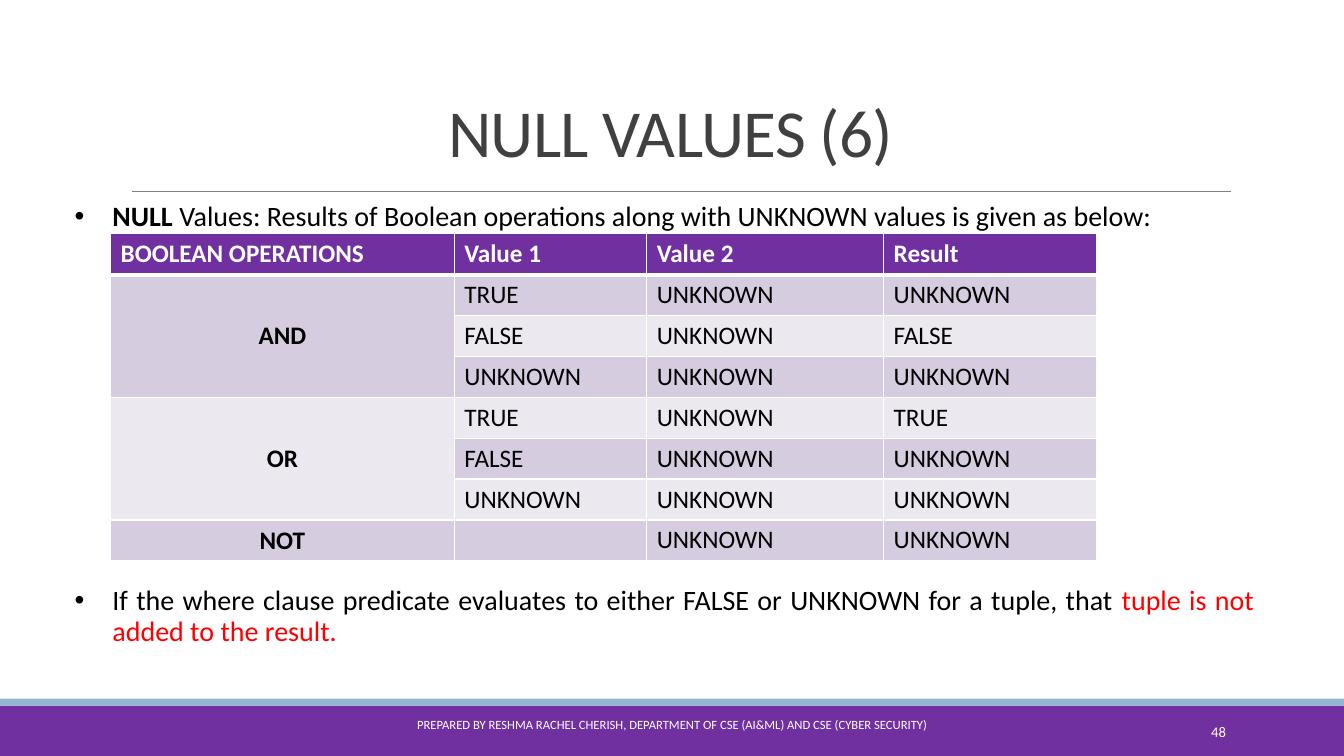
from dataclasses import dataclass

from lxml.etree import SubElement
from pptx import Presentation
from pptx.dml.color import RGBColor
from pptx.enum.shapes import MSO_CONNECTOR, MSO_SHAPE
from pptx.enum.text import MSO_ANCHOR, PP_ALIGN
from pptx.oxml.ns import qn
from pptx.util import Pt


@dataclass(frozen=True)
class Theme:
    font: str = "Calibri"
    purple: str = "7030A0"
    blue: str = "94B6D2"
    rule: str = "808080"
    title: str = "404040"
    ink: str = "000000"
    accent: str = "FF0000"
    white: str = "FFFFFF"
    bands: tuple = ("EBE8F0", "D5CDDF")
    title_size: float = 48
    body_size: float = 20
    table_size: float = 18
    number_size: float = 10.5
    footer_size: float = 9


THEME = Theme()
SLIDE_WIDTH, SLIDE_HEIGHT = 960, 540

COLUMN_WIDTHS = (245.5, 137.5, 169.2, 152)
ROW_HEIGHT = 29.2
HEADINGS = ("BOOLEAN OPERATIONS", "Value 1", "Value 2", "Result")
OPERATIONS = {
    "AND": (
        ("TRUE", "UNKNOWN", "UNKNOWN"),
        ("FALSE", "UNKNOWN", "FALSE"),
        ("UNKNOWN", "UNKNOWN", "UNKNOWN"),
    ),
    "OR": (
        ("TRUE", "UNKNOWN", "TRUE"),
        ("FALSE", "UNKNOWN", "UNKNOWN"),
        ("UNKNOWN", "UNKNOWN", "UNKNOWN"),
    ),
    "NOT": (("", "UNKNOWN", "UNKNOWN"),),
}


def rgb(code):
    return RGBColor.from_string(code)


def write(paragraph, text, size, color=THEME.ink, bold=False, align=None, tracking=0):
    """Append one formatted run to a paragraph."""
    if align is not None:
        paragraph.alignment = align
    run = paragraph.add_run()
    run.text = text
    run.font.name = THEME.font
    run.font.size = Pt(size)
    run.font.bold = bold
    run.font.color.rgb = rgb(color)
    if tracking:
        run.font._element.set("spc", str(round(tracking * 100)))


def add_frame(slide, left, top, width, height, anchor=MSO_ANCHOR.TOP):
    frame = slide.shapes.add_textbox(Pt(left), Pt(top), Pt(width), Pt(height)).text_frame
    frame.word_wrap = True
    frame.vertical_anchor = anchor
    return frame


def add_band(slide, top, height, color):
    band = slide.shapes.add_shape(
        MSO_SHAPE.RECTANGLE, 0, Pt(top), Pt(SLIDE_WIDTH), Pt(height)
    )
    band.shadow.inherit = False
    band.fill.solid()
    band.fill.fore_color.rgb = rgb(color)
    band.line.fill.background()


def add_rule(slide, left, right, y):
    rule = slide.shapes.add_connector(
        MSO_CONNECTOR.STRAIGHT, Pt(left), Pt(y), Pt(right), Pt(y)
    )
    rule.line.color.rgb = rgb(THEME.rule)
    rule.line.width = Pt(0.5)
    SubElement(rule._element.spPr, qn("a:effectLst"))


def make_bullet(paragraph, space_before=0):
    paragraph.alignment = PP_ALIGN.JUSTIFY
    paragraph.line_spacing = 0.9
    paragraph.space_before = Pt(space_before)
    paragraph.space_after = Pt(2)
    properties = paragraph._p.get_or_add_pPr()
    properties.set("marL", str(Pt(27)))
    properties.set("indent", str(Pt(-27)))
    SubElement(properties, qn("a:buFont"), typeface="Arial")
    SubElement(properties, qn("a:buChar"), char="•")


def style_cell(cell, fill, bottom=1):
    """Give a cell white borders and a plain fill."""
    properties = cell._tc.get_or_add_tcPr()
    for side, width in (("L", 1), ("R", 1), ("T", 1), ("B", bottom)):
        border = SubElement(properties, qn(f"a:ln{side}"), w=str(Pt(width)))
        solid = SubElement(border, qn("a:solidFill"))
        SubElement(solid, qn("a:srgbClr"), val=THEME.white)
    cell.fill.solid()
    cell.fill.fore_color.rgb = rgb(fill)


def add_truth_table(slide, left, top):
    row_count = 1 + sum(len(cases) for cases in OPERATIONS.values())
    table = slide.shapes.add_table(
        row_count, len(HEADINGS), Pt(left), Pt(top),
        Pt(sum(COLUMN_WIDTHS)), Pt(row_count * ROW_HEIGHT),
    ).table
    table.horz_banding = False
    for column, width in zip(table.columns, COLUMN_WIDTHS):
        column.width = Pt(width)
    for index, row in enumerate(table.rows):
        row.height = Pt(ROW_HEIGHT)
        for cell in row.cells:
            if index == 0:
                style_cell(cell, THEME.purple, bottom=3)
            else:
                style_cell(cell, THEME.bands[index % 2])

    for column, heading in enumerate(HEADINGS):
        write(table.cell(0, column).text_frame.paragraphs[0], heading,
              THEME.table_size, color=THEME.white, bold=True)

    first = 1
    for operation, cases in OPERATIONS.items():
        name_cell = table.cell(first, 0)
        if len(cases) > 1:
            name_cell.merge(table.cell(first + len(cases) - 1, 0))
        name_cell.vertical_anchor = MSO_ANCHOR.MIDDLE
        write(name_cell.text_frame.paragraphs[0], operation,
              THEME.table_size, bold=True, align=PP_ALIGN.CENTER)
        for row, values in enumerate(cases, start=first):
            for column, value in enumerate(values, start=1):
                write(table.cell(row, column).text_frame.paragraphs[0],
                      value, THEME.table_size)
        first += len(cases)


def add_bullets(slide):
    """Write the bullets above and below the table in one text box."""
    body = add_frame(slide, 53.3, 141, 842.4, 343.5)
    body.margin_left = body.margin_right = 0
    intro = body.paragraphs[0]
    make_bullet(intro)
    write(intro, "NULL ", THEME.body_size, bold=True)
    write(intro, "Values: Results of Boolean operations along with UNKNOWN "
                 "values is given as below:", THEME.body_size)
    conclusion = body.add_paragraph()
    make_bullet(conclusion, space_before=251)
    write(conclusion, "If the where clause predicate evaluates to either FALSE or "
                      "UNKNOWN for a tuple, that ", THEME.body_size)
    write(conclusion, "tuple is not added to the result.",
          THEME.body_size, color=THEME.accent)


def add_footer(slide):
    credit = add_frame(slide, 290.2, 508.3, 379.4, 28.8)
    write(credit.paragraphs[0],
          "PREPARED BY RESHMA RACHEL CHERISH, DEPARTMENT OF CSE (AI&ML) "
          "AND CSE (CYBER SECURITY)",
          THEME.footer_size, color=THEME.white, align=PP_ALIGN.CENTER)
    number = add_frame(slide, 779.8, 508.3, 103, 28.8, MSO_ANCHOR.MIDDLE)
    write(number.paragraphs[0], "48", THEME.number_size,
          color=THEME.white, align=PP_ALIGN.RIGHT)


def main():
    deck = Presentation()
    deck.slide_width, deck.slide_height = Pt(SLIDE_WIDTH), Pt(SLIDE_HEIGHT)
    slide = deck.slides.add_slide(deck.slide_layouts[6])

    add_band(slide, 504, 36, THEME.purple)
    add_band(slide, 499, 5, THEME.blue)
    add_rule(slide, 94.3, 879, 136.8)

    title = add_frame(slide, 83, 49.7, 792, 76.3, MSO_ANCHOR.BOTTOM).paragraphs[0]
    title.line_spacing = 0.85
    write(title, "NULL VALUES (6)", THEME.title_size, color=THEME.title,
          align=PP_ALIGN.CENTER, tracking=-0.5)

    add_bullets(slide)
    add_truth_table(slide, 79, 167)
    add_footer(slide)
    deck.save("out.pptx")


if __name__ == "__main__":
    main()
